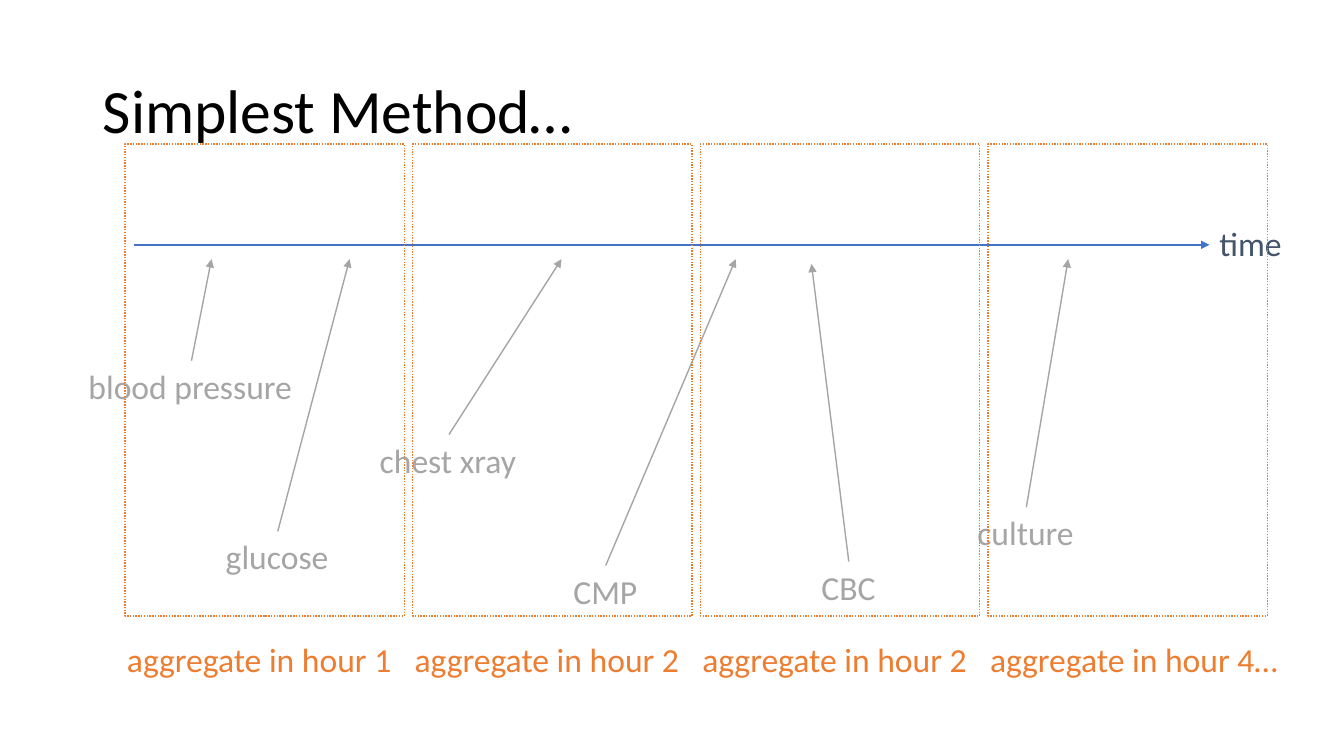
from lxml import etree
from pptx import Presentation
from pptx.dml.color import RGBColor
from pptx.enum import dml, shapes, text
from pptx.oxml import ns
from pptx.util import Cm, Pt

COLORS = {
    "title": "000000",
    "axis": "4472C4",
    "time": "44546A",
    "event": "A5A5A5",
    "hour": "ED7D31",
}

presentation = Presentation()
presentation.slide_width = Cm(33.87)
presentation.slide_height = Cm(19.05)
slide = presentation.slides.add_slide(presentation.slide_layouts[6])


def add_label(wording, left, top, width, color, height=1.27, size=24):
    box = slide.shapes.add_textbox(Cm(left), Cm(top), Cm(width), Cm(height))
    box.text_frame.word_wrap = False
    paragraph = box.text_frame.paragraphs[0]
    paragraph.text = wording
    paragraph.font.name = "Calibri"
    paragraph.font.size = Pt(size)
    paragraph.font.color.rgb = RGBColor.from_string(COLORS[color])
    return box


def add_arrow(x1, y1, x2, y2, color):
    arrow = slide.shapes.add_connector(
        shapes.MSO_CONNECTOR.STRAIGHT, Cm(x1), Cm(y1), Cm(x2), Cm(y2))
    arrow.line.color.rgb = RGBColor.from_string(COLORS[color])
    arrow.line.width = Pt(1)
    etree.SubElement(arrow.line._get_or_add_ln(), ns.qn("a:tailEnd"), type="triangle")
    etree.SubElement(arrow._element.spPr, ns.qn("a:effectLst"))


# Title
title = add_label("Simplest Method…", 2.34, 1.02, 29.21, "title", height=3.68, size=44)
title.text_frame.word_wrap = True
title.text_frame.vertical_anchor = text.MSO_ANCHOR.MIDDLE
title.text_frame.paragraphs[0].line_spacing = 0.9

# Time axis
add_arrow(3.38, 6.17, 30.48, 6.17, "axis")
add_label("time", 30.48, 5.49, 2.11, "time")

# Events: wording, left, top, width, then the arrow tip
events = [
    ("blood pressure", 1.98, 9.09, 5.69, 5.33, 6.53),
    ("glucose", 5.44, 13.39, 3.12, 8.81, 6.53),
    ("chest xray", 9.32, 10.95, 3.99, 14.15, 6.53),
    ("CMP", 14.2, 14.25, 2.13, 18.54, 6.53),
    ("CBC", 20.45, 14.15, 1.88, 20.45, 6.65),
    ("culture", 24.38, 12.78, 2.97, 26.92, 6.53),
]
for wording, left, top, width, tip_x, tip_y in events:
    add_label(wording, left, top, width, "event")
    add_arrow(left + width / 2, top, tip_x, tip_y, "event")

# Hour windows
hours = [("1", 7.24), ("2", 7.24), ("2", 7.24), ("4…", 7.82)]
for index, (hour, caption_width) in enumerate(hours):
    offset = 7.25 * index
    window = slide.shapes.add_shape(
        shapes.MSO_SHAPE.RECTANGLE, Cm(3.15 + offset), Cm(3.63), Cm(7.04), Cm(11.89))
    window.shadow.inherit = False
    window.fill.background()
    window.line.color.rgb = RGBColor.from_string(COLORS["hour"])
    window.line.width = Pt(1)
    window.line.dash_style = dml.MSO_LINE.ROUND_DOT
    add_label(f"aggregate in hour {hour}", 2.95 + offset, 15.98, caption_width, "hour")

presentation.save("out.pptx")
